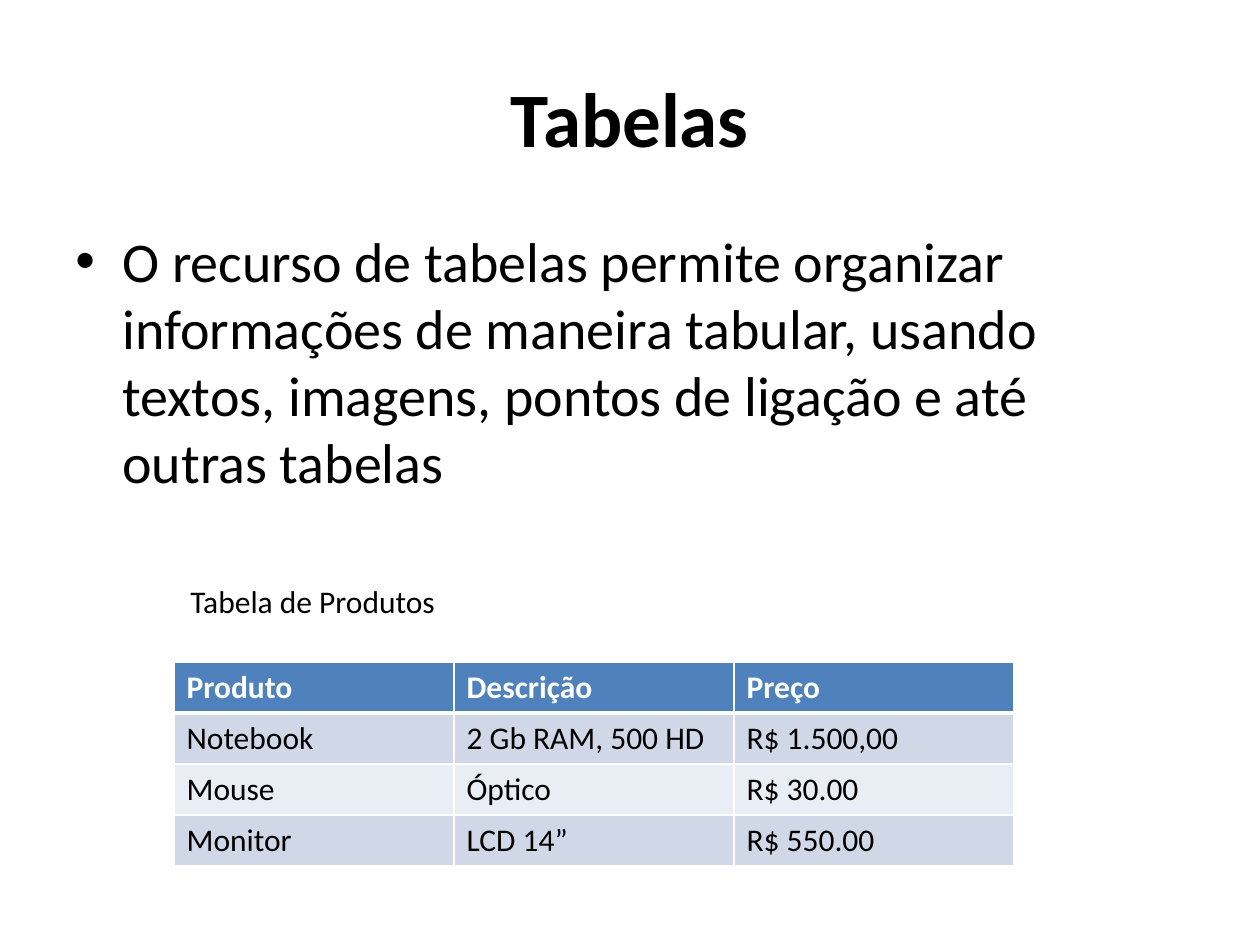
"""Build a slide that introduces tables with a small product table."""
from lxml.etree import SubElement
from pptx import Presentation
from pptx.dml.color import RGBColor
from pptx.enum.text import MSO_ANCHOR as Anchor, PP_ALIGN as Align
from pptx.oxml.ns import qn
from pptx.util import Emu, Pt

PX = 914400 / 126
COLORS = {"text": "000000", "header": "4F81BD", "odd": "D0D8E8", "even": "E9EDF4", "white": "FFFFFF"}


def px(length):
    return Emu(round(length * PX))


def write(frame, text, color="text", **formats):
    paragraph = frame.paragraphs[0]
    run = paragraph.add_run()
    run.text = text
    run.font.color.rgb = RGBColor.from_string(COLORS[color])
    for name, value in {"name": "Calibri", "bold": False, **formats}.items():
        setattr(run.font, name, value)
    return paragraph


presentation = Presentation()
presentation.slide_width, presentation.slide_height = px(1260), px(945)
slide = presentation.slides.add_slide(presentation.slide_layouts[6])

title = slide.shapes.add_textbox(px(63), px(38), px(1134), px(158)).text_frame
title.word_wrap = True
title.vertical_anchor = Anchor.MIDDLE
write(title, "Tabelas", size=Pt(44), bold=True).alignment = Align.CENTER

body = slide.shapes.add_textbox(px(63), px(220), px(1134), px(321)).text_frame
body.word_wrap = True
paragraph = write(
    body,
    "O recurso de tabelas permite organizar informações de maneira tabular, "
    "usando textos, imagens, pontos de ligação e até outras tabelas",
    size=Pt(32),
)
properties = paragraph._p.get_or_add_pPr()
properties.set("marL", str(px(47)))
properties.set("indent", str(px(-47)))
SubElement(SubElement(properties, qn("a:spcBef")), qn("a:spcPct"), val="20000")
SubElement(properties, qn("a:buFont"), typeface="Arial")
SubElement(properties, qn("a:buChar"), char="•")

rows = [
    ("Produto", "Descrição", "Preço"),
    ("Notebook", "2 Gb RAM, 500 HD", "R$ 1.500,00"),
    ("Mouse", "Óptico", "R$ 30.00"),
    ("Monitor", "LCD 14”", "R$ 550.00"),
]
table = slide.shapes.add_table(len(rows), 3, px(174), px(662), px(840), px(204)).table
for row_index, row in enumerate(rows):
    header = row_index == 0
    fill = "header" if header else "odd" if row_index % 2 else "even"
    for column_index, text in enumerate(row):
        cell = table.cell(row_index, column_index)
        write(cell.text_frame, text, "white" if header else "text", size=Pt(18), bold=header)
        cell_properties = cell._tc.get_or_add_tcPr()
        for side in "LRTB":
            thick = (side == "B" and header) or (side == "T" and row_index == 1)
            line = SubElement(cell_properties, qn(f"a:ln{side}"), w=str(Pt(3 if thick else 1)))
            SubElement(SubElement(line, qn("a:solidFill")), qn("a:srgbClr"), val=COLORS["white"])
        cell.fill.solid()
        cell.fill.fore_color.rgb = RGBColor.from_string(COLORS[fill])

caption = slide.shapes.add_textbox(px(178), px(576), px(273), px(50)).text_frame
caption.word_wrap = False
write(caption, "Tabela de Produtos", size=Pt(18))

presentation.save("out.pptx")
